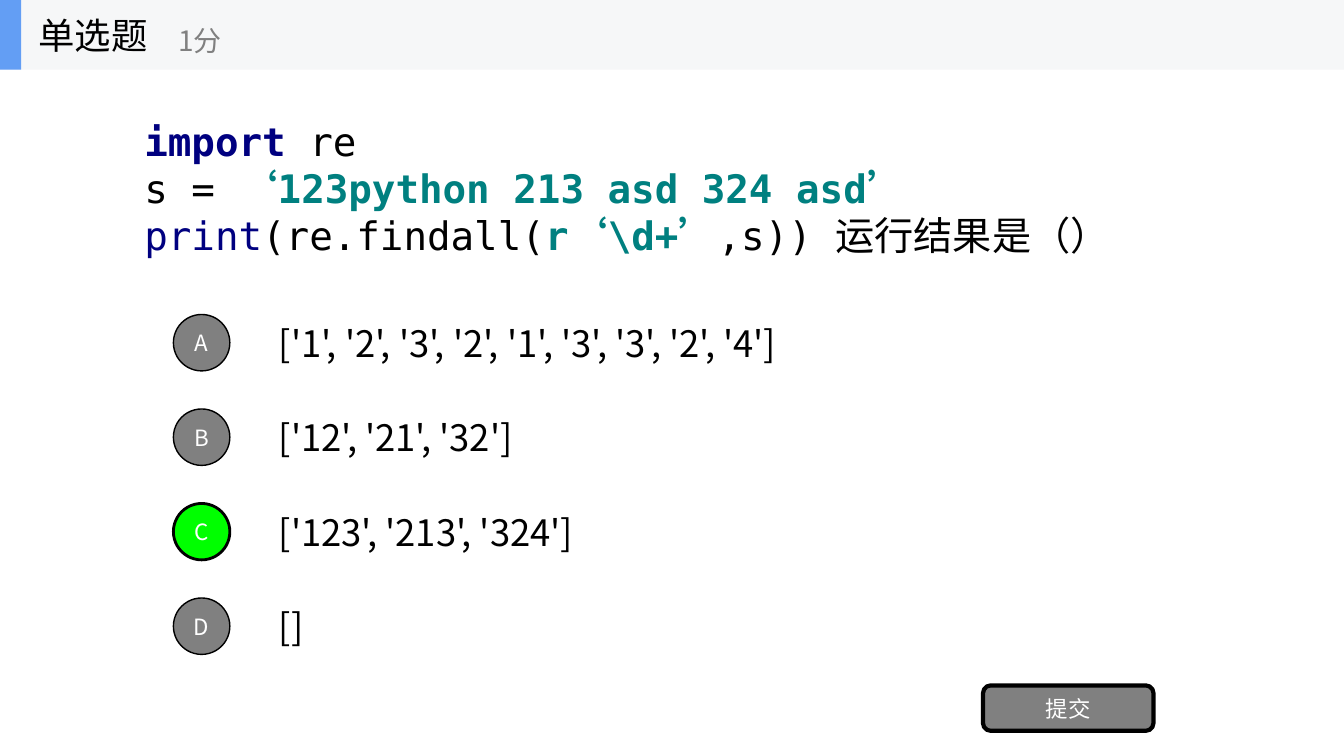
import pptx
import pptx.util
import pptx.dml.color
import pptx.enum.shapes
import pptx.enum.text
import pptx.oxml
import pptx.oxml.ns

# Content
HEADING = "单选题"
SCORE = "1分"
SUBMIT = "提交"
# Question lines: (text, colour name, bold)
QUESTION = [
    [("import ", "keyword", True), ("re", "black", False)],
    [("s = ", "black", False), ("‘123python 213 asd 324 asd’", "string", True)],
    [("print", "keyword", False), ("(re.findall(", "black", False),
     ("r‘\\d+’", "string", True), (",s)) 运行结果是（）", "black", False)],
]
OPTIONS = {
    "A": "['1', '2', '3', '2', '1', '3', '3', '2', '4']",
    "B": "['12', '21', '32']",
    "C": "['123', '213', '324']",
    "D": "[]",
}
ANSWER = "C"

COLORS = {
    "black": "000000", "white": "FFFFFF", "gray": "808080", "answer": "00FF00",
    "keyword": "000080", "string": "008080", "band": "F6F7F8", "accent": "639EF4",
}
TEXT_FONT = "Noto Sans CJK SC"
CODE_FONT = "DejaVu Sans Mono"

# Layout in inches
WIDTH, HEIGHT = 13.33, 7.5
HEADER_H = 0.69
ROW_TOP, ROW_STEP, ROW_H = 3.05, HEIGHT / 8, 0.7
OPTION_LEFT, OPTION_W = WIDTH * 0.2, WIDTH * 0.7
CIRCLE_LEFT, CIRCLE = 1.72, 0.56

SHAPES = pptx.enum.shapes.MSO_SHAPE
ALIGN = pptx.enum.text.PP_ALIGN


def rgb(name):
    return pptx.dml.color.RGBColor.from_string(COLORS[name])


def inches(*lengths):
    return [pptx.util.Inches(length) for length in lengths]


def add_span(para, text, size, color, bold=False, font=TEXT_FONT):
    span = para.add_run()
    span.text = text
    span.font.size = pptx.util.Pt(size)
    span.font.bold = bold
    span.font.name = font
    span.font.color.rgb = rgb(color)
    east_asian = pptx.oxml.parse_xml(
        f'<a:ea {pptx.oxml.ns.nsdecls("a")} typeface="{TEXT_FONT}"/>')
    span.font._element.find(pptx.oxml.ns.qn("a:latin")).addnext(east_asian)


def prepare(box, align=ALIGN.LEFT):
    frame = box.text_frame
    frame.word_wrap = True
    frame.auto_size = pptx.enum.text.MSO_AUTO_SIZE.NONE
    frame.vertical_anchor = pptx.enum.text.MSO_ANCHOR.MIDDLE
    para = frame.paragraphs[0]
    para.alignment = align
    return para


def add_text(page, area, text, size, color):
    box = page.shapes.add_textbox(*inches(*area))
    add_span(prepare(box), text, size, color)


def add_block(page, kind, area, fill, line_width=0, label=""):
    block = page.shapes.add_shape(kind, *inches(*area))
    block.shadow.inherit = False
    block.fill.solid()
    block.fill.fore_color.rgb = rgb(fill)
    if line_width:
        block.line.color.rgb = rgb("black")
        block.line.width = pptx.util.Pt(line_width)
    else:
        block.line.fill.background()
    if label:
        frame = block.text_frame
        frame.margin_left = frame.margin_right = 0
        frame.margin_top = frame.margin_bottom = 0
        add_span(prepare(block, ALIGN.CENTER), label, 16, "white")


def main():
    deck = pptx.Presentation()
    deck.slide_width, deck.slide_height = inches(WIDTH, HEIGHT)
    page = deck.slides.add_slide(deck.slide_layouts[5])

    # Question
    box = page.shapes.add_textbox(*inches(WIDTH * 0.1, HEADER_H, WIDTH * 0.8, 2.34))
    para = prepare(box)
    for number, line in enumerate(QUESTION):
        if number:
            para.add_line_break()
        for text, color, bold in line:
            add_span(para, text, 28, color, bold, CODE_FONT)

    # Options
    for row, (letter, text) in enumerate(OPTIONS.items()):
        top = ROW_TOP + row * ROW_STEP
        add_text(page, (OPTION_LEFT, top, OPTION_W, ROW_H), text, 26, "black")
        correct = letter == ANSWER
        circle_top = top + (ROW_H - CIRCLE) / 2
        add_block(page, SHAPES.OVAL, (CIRCLE_LEFT, circle_top, CIRCLE, CIRCLE),
                  "answer" if correct else "gray", 2 if correct else 1, letter)

    # Submit button
    add_block(page, SHAPES.ROUNDED_RECTANGLE, (9.75, 6.8, 1.69, 0.45), "gray", 3, SUBMIT)

    # Header, with the title brought in front of its band
    add_block(page, SHAPES.RECTANGLE, (0, 0, WIDTH, HEADER_H), "band")
    add_block(page, SHAPES.RECTANGLE, (0, 0, 0.21, HEADER_H), "accent")
    title = page.shapes.title
    title.left, title.top, title.width, title.height = inches(0.28, 0, 2.08, HEADER_H)
    add_span(prepare(title), HEADING, 26, "black")
    title.element.getparent().append(title.element)
    add_text(page, (1.67, 0.12, 2.5, 0.56), SCORE, 20, "gray")

    deck.save("out.pptx")


if __name__ == "__main__":
    main()
